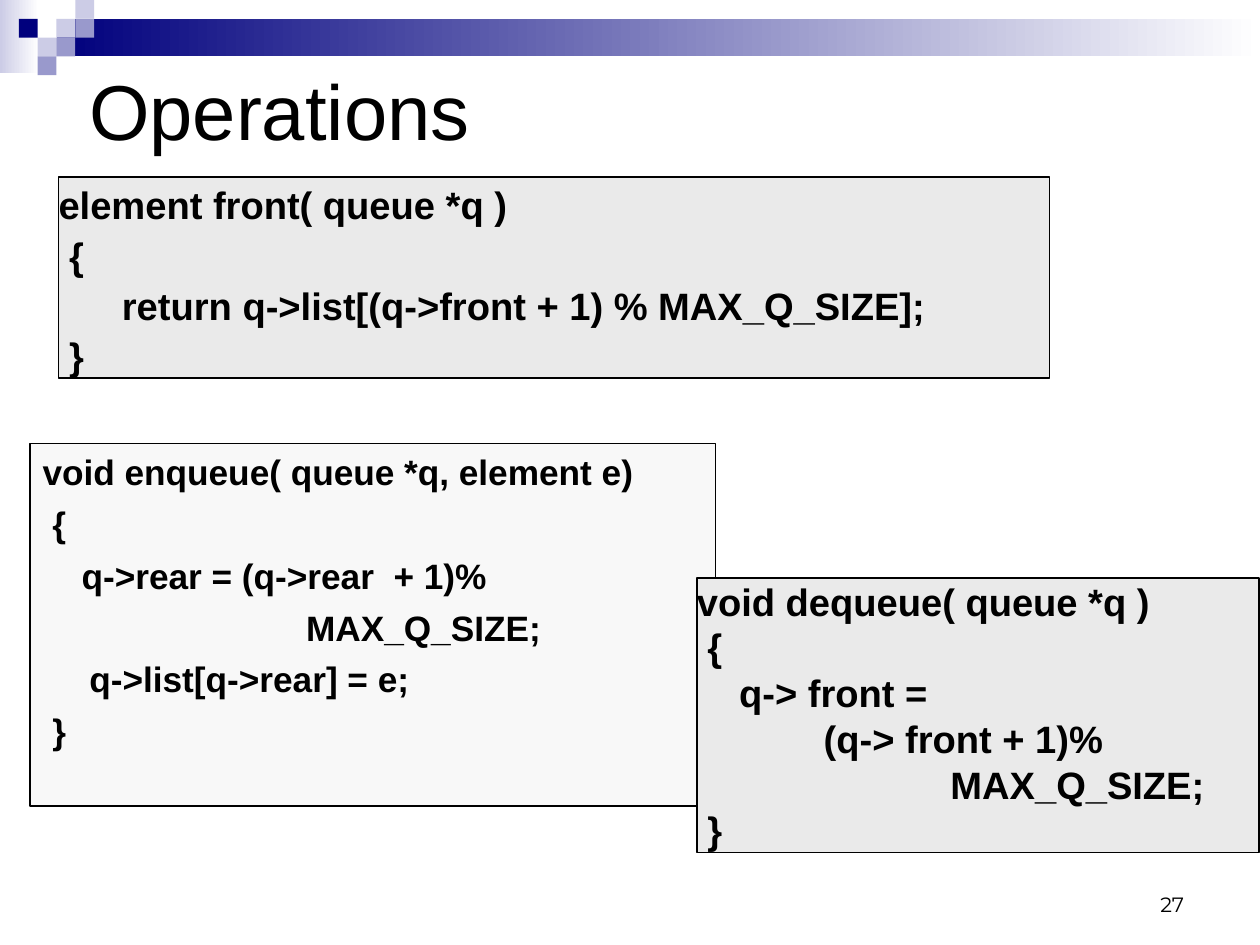
import pptx
import pptx.util
import pptx.dml.color
import pptx.enum.shapes
import pptx.enum.text

Pt = pptx.util.Pt
ANCHOR = pptx.enum.text.MSO_ANCHOR
ALIGN = pptx.enum.text.PP_ALIGN

HEADING = "Operations"
PAGE_NUMBER = "27"

FRONT = [
    "element front( queue *q )",
    " {",
    "      return q->list[(q->front + 1) % MAX_Q_SIZE];",
    " }",
]
ENQUEUE = [
    "void enqueue( queue *q, element e)",
    " {",
    "    q->rear = (q->rear  + 1)%",
    "                           MAX_Q_SIZE;",
    "\tq->list[q->rear] = e;",
    " }",
]
DEQUEUE = [
    "void dequeue( queue *q )",
    " {",
    "    q-> front =",
    "            (q-> front + 1)%",
    "                        MAX_Q_SIZE;",
    " }",
]

NAVY, LAVENDER, PERIWINKLE, WHITE, BLACK = "00007D", "CCCCE6", "9999CC", "FFFFFF", "000000"
PADDED = (7.92, 4.32)
FLUSH = (0, 0)
HANGING = 29.5

LISTINGS = [
    dict(lines=ENQUEUE, box=(18.9, 279.36, 432, 228.24), fill="F8F8F8", inset=PADDED,
         size=22.2, spacing=1.0, gap=6, indent=HANGING),
    dict(lines=DEQUEUE, box=(439, 364.2, 354.24, 172.8), fill="EAEAEA", inset=FLUSH,
         size=24, spacing=1.0, gap=0, indent=0),
    dict(lines=FRONT, box=(36.9, 111.6, 624.24, 126.72), fill="EAEAEA", inset=FLUSH,
         size=24, spacing=1.1, gap=0, indent=0),
]

FADES = [
    ((0, 0, 24.48, 46.08), LAVENDER),
    ((36, 11.86, 757.75, 23.72), NAVY),
]
CELL = 11.86
MOSAIC = [
    (3, 1, LAVENDER), (4, 0, LAVENDER), (4, 1, PERIWINKLE), (2, 2, LAVENDER),
    (1, 1, NAVY), (3, 2, PERIWINKLE), (2, 3, PERIWINKLE),
]


def color(value):
    return pptx.dml.color.RGBColor.from_string(value)


def apply(target, values):
    for name, value in values.items():
        setattr(target, name, value)


def place(box):
    return [Pt(length) for length in box]


def add_rectangle(slide, box):
    rectangle = slide.shapes.add_shape(pptx.enum.shapes.MSO_SHAPE.RECTANGLE, *place(box))
    rectangle.shadow.inherit = False
    rectangle.line.fill.background()
    return rectangle


def fill_solid(rectangle, value):
    rectangle.fill.solid()
    rectangle.fill.fore_color.rgb = color(value)


def format_frame(frame, inset, anchor):
    across, down = place(inset)
    apply(frame, dict(word_wrap=True, auto_size=pptx.enum.text.MSO_AUTO_SIZE.NONE,
                      vertical_anchor=anchor, margin_left=across, margin_right=across,
                      margin_top=down, margin_bottom=down))


def write(paragraph, text, size, face="Arial", bold=False, **layout):
    paragraph.text = text
    apply(paragraph, dict(dict(alignment=ALIGN.LEFT), **layout))
    apply(paragraph.font, dict(name=face, size=Pt(size), bold=bold))
    paragraph.font.color.rgb = color(BLACK)


def add_decoration(slide):
    for box, start in FADES:
        fade = add_rectangle(slide, box)
        fade.fill.gradient()
        fade.fill.gradient_angle = 0
        for stop, value, position in zip(fade.fill.gradient_stops, (start, WHITE), (0, 1)):
            stop.color.rgb = color(value)
            stop.position = position
    for column, row, value in MOSAIC:
        fill_solid(add_rectangle(slide, (column * CELL, row * CELL, CELL, CELL)), value)


def add_heading(slide):
    heading = slide.shapes.title
    apply(heading, dict(zip(("left", "top", "width", "height"),
                            place((48.24, 9.36, 714.24, 118.8)))))
    format_frame(heading.text_frame, PADDED, ANCHOR.MIDDLE)
    write(heading.text_frame.paragraphs[0], HEADING, 49)


def add_page_number(slide):
    number = slide.shapes.add_textbox(*place((568.8, 542.16, 185.04, 39.6)))
    format_frame(number.text_frame, PADDED, ANCHOR.BOTTOM)
    write(number.text_frame.paragraphs[0], PAGE_NUMBER, 13, "Montserrat", alignment=ALIGN.RIGHT)


def add_listing(slide, lines, box, fill, inset, size, spacing, gap, indent):
    panel = add_rectangle(slide, box)
    fill_solid(panel, fill)
    panel.line.color.rgb = color(BLACK)
    panel.line.width = Pt(1)
    frame = panel.text_frame
    format_frame(frame, inset, ANCHOR.TOP)
    for index, line in enumerate(lines):
        paragraph = frame.add_paragraph() if index else frame.paragraphs[0]
        if indent:
            properties = paragraph._p.get_or_add_pPr()
            properties.set("marL", str(Pt(indent)))
            properties.set("indent", str(-Pt(indent)))
        write(paragraph, line, size, bold=True, line_spacing=spacing,
              space_before=Pt(gap if index else 0))


def main():
    deck = pptx.Presentation()
    deck.slide_width = Pt(793.75)
    deck.slide_height = Pt(595.25)
    slide = deck.slides.add_slide(deck.slide_layouts[5])
    add_decoration(slide)
    add_heading(slide)
    add_page_number(slide)
    for listing in LISTINGS:
        add_listing(slide, **listing)
    deck.save("out.pptx")


if __name__ == "__main__":
    main()
